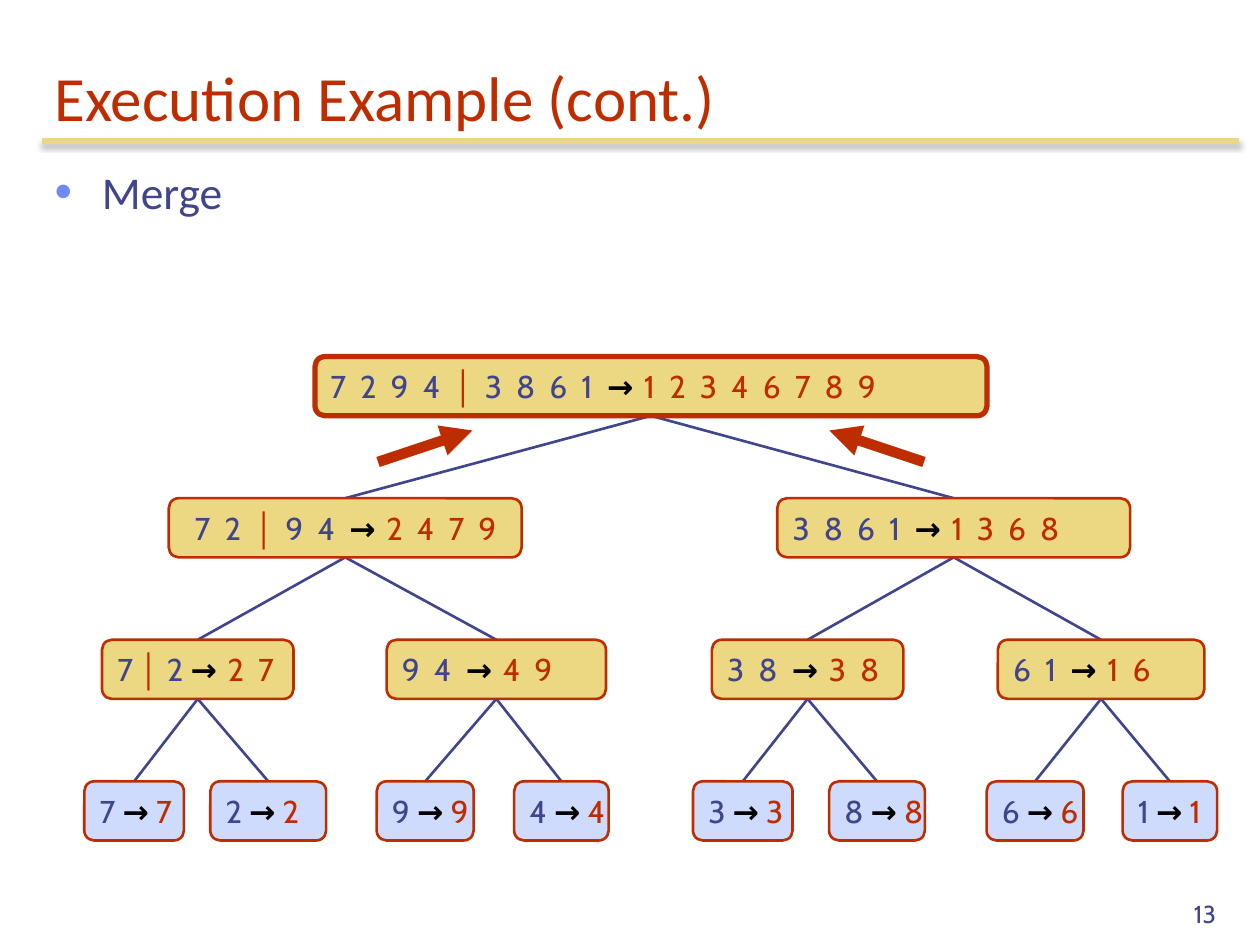
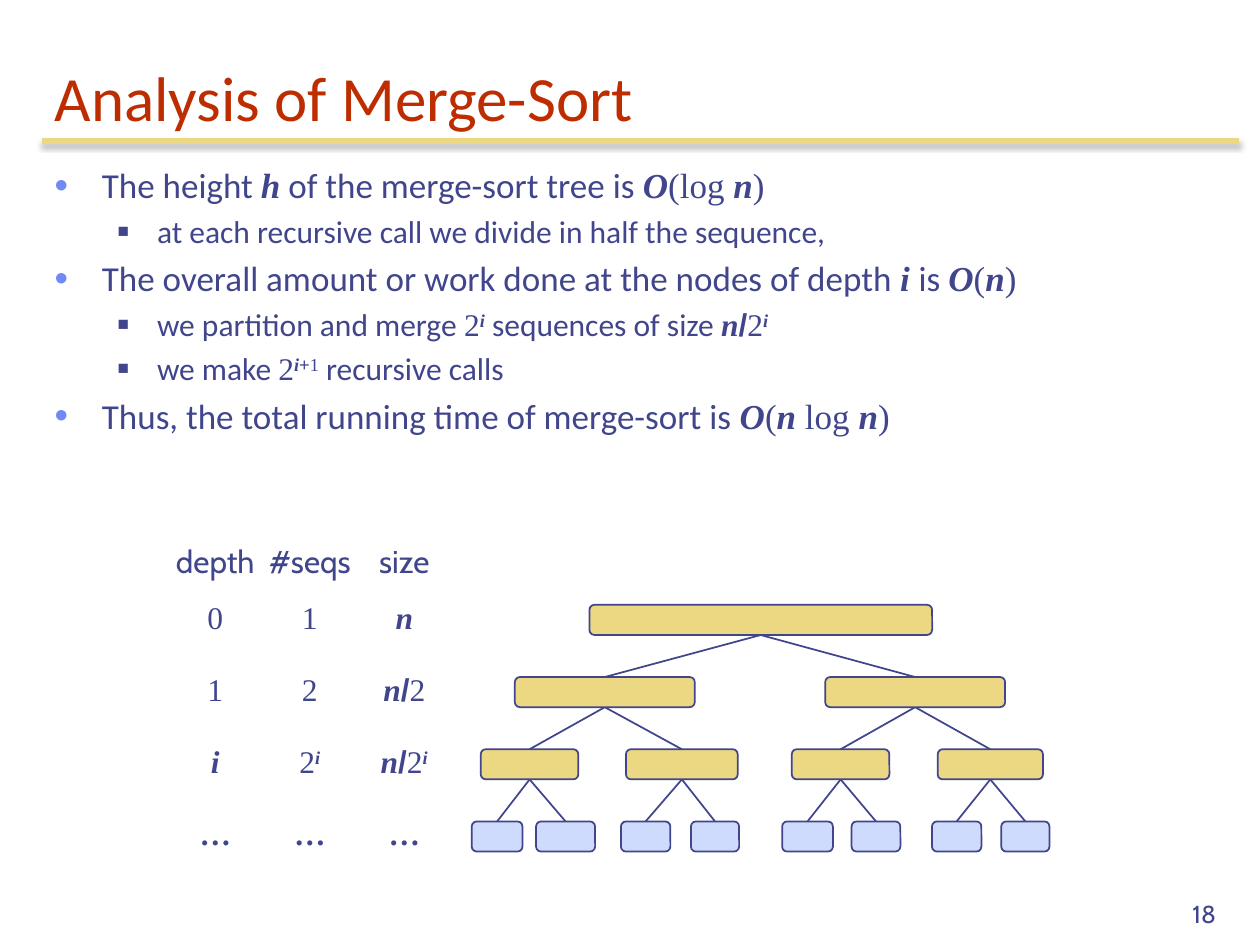
"""Builds two slides on merge-sort: a worked merge tree and its running time."""
from lxml import etree
from pptx import Presentation
from pptx.dml.color import RGBColor
from pptx.enum.shapes import MSO_CONNECTOR, MSO_SHAPE
from pptx.enum.text import MSO_ANCHOR, MSO_AUTO_SIZE, PP_ALIGN
from pptx.oxml.ns import qn
from pptx.util import Pt

STRAIGHT = MSO_CONNECTOR.STRAIGHT
ROUND = MSO_SHAPE.ROUNDED_RECTANGLE
MIDDLE, BOTTOM = MSO_ANCHOR.MIDDLE, MSO_ANCHOR.BOTTOM
FIXED = MSO_AUTO_SIZE.NONE
LEFT, CENTER, RIGHT = PP_ALIGN.LEFT, PP_ALIGN.CENTER, PP_ALIGN.RIGHT

RED = RGBColor(0xBE, 0x2D, 0x00)
NAVY = RGBColor(0x40, 0x45, 0x8C)
GOLD = RGBColor(0xEC, 0xD8, 0x82)
PALE = RGBColor(0xCF, 0xDB, 0xFD)
BLUE = RGBColor(0x6F, 0x89, 0xF7)
BLACK = RGBColor(0, 0, 0)

HEAD, LABEL, MATH, SIGN = "Calibri", "Cabin", "Times New Roman", "Arial"

# key: font, bold, italic, raised
FACES = {
    "c": (HEAD, False, False, False),
    "k": (LABEL, False, False, False),
    "t": (MATH, False, False, False),
    "m": (MATH, True, True, False),
    "b": (MATH, True, False, False),
    "s": (SIGN, True, False, False),
    "i": (MATH, True, True, True),
    "p": (SIGN, False, False, True),
    "n": (MATH, False, False, True),
}

# level: bullet, colour, size in percent, left margin, hang
BULLETS = [("•", BLUE, 110, 27, 27), ("■", NAVY, 60, 58.5, 22.5)]

TREE = [
    [(180, 384, "7 2 9 4 │ 3 8 6 1 → 1 2 3 4 6 7 8 9")],
    [(96.5, 201.6, " 7 2 │ 9 4 → 2 4 7 9"), (444.2, 201.6, "3 8 6 1 → 1 3 6 8")],
    [(58.3, 109.4, "7 │ 2 → 2 7"), (221, 125.3, "9 4 → 4 9"),
     (406.8, 109.4, "3 8 → 3 8"), (570.2, 118, "6 1 → 1 6")],
    [(48.2, 56.9, "7 → 7"), (120.2, 66.2, "2 → 2"), (215.3, 55.4, "9 → 9"),
     (293.8, 54, "4 → 4"), (396, 56.9, "3 → 3"), (473.8, 54.7, "8 → 8"),
     (563.8, 55.4, "6 → 6"), (641.5, 54, "1 → 1")],
]
TOP, STEP, TALL = 203.8, 80.9, 33.8

POINTS = [
    (0, 20, "c:The height |m:h|c: of the merge-sort tree is |m:O|t:(log |m:n|t:)"),
    (1, 18, "c:at each recursive call we divide in half the sequence,"),
    (0, 20, "c:The overall amount or work done at the nodes of depth |m:i |c:is "
            "|m:O|t:(|m:n|t:)"),
    (1, 18, "c:we partition and merge |t:2|i:i|c: sequences of size |m:n|s:/|t:2|i:i"),
    (1, 18, "c:we make |t:2|i:i|p:+|n:1|c: recursive calls"),
    (0, 20, "c:Thus, the total running time of merge-sort is "
            "|m:O|t:(|m:n|t: log |m:n|t:)"),
]

COSTS = [
    ["k:depth", "k:#seqs", "k:size"],
    ["t:0", "t:1", "m:n"],
    ["t:1", "t:2", "m:n|s:/|t:2"],
    ["m:i", "t:2|i:i", "m:n|s:/|t:2|i:i"],
    ["b:…", "b:…", "b:…"],
]


class Deck:
    """Holds the deck's style and the slide being drawn."""

    def __init__(self):
        self.prs = Presentation()
        self.prs.slide_width, self.prs.slide_height = Pt(720), Pt(540)
        self.slide = None

    def place(self, item, left, top, width, height):
        """Moves an item to a box given in points."""
        item.left, item.top = Pt(left), Pt(top)
        item.width, item.height = Pt(width), Pt(height)

    def run(self, para, text, face, size, color=NAVY):
        """Adds one styled run to a paragraph."""
        name, bold, slant, raised = FACES[face]
        run = para.add_run()
        run.text = text
        font = run.font
        font.name, font.size, font.bold, font.italic = name, Pt(size), bold, slant
        font.color.rgb = color
        if raised:
            run._r.get_or_add_rPr().set("baseline", "30000")
        return run

    def rich(self, para, marked, size):
        """Fills a paragraph from face:text pieces."""
        for piece in marked.split("|"):
            face, _, text = piece.partition(":")
            self.run(para, text, face, size)
        para.space_before = Pt(size * 0.2)

    def page(self, title, number, points):
        """Starts a slide with title, rule, list and number."""
        self.slide = self.prs.slides.add_slide(self.prs.slide_layouts[1])
        head, body = self.slide.placeholders
        self.place(head, 24, 24, 684, 56)
        self.place(body, 24, 90, 684, 408)
        frame = head.text_frame
        frame.auto_size, frame.vertical_anchor = FIXED, BOTTOM
        self.run(frame.paragraphs[0], title, "c", 36, RED)
        frame.paragraphs[0].alignment = LEFT
        self.line((24, 80.6), (708, 80.6), GOLD, 3, shade=True)
        self.list(body.text_frame, points)
        box = self.slide.shapes.add_textbox(Pt(552), Pt(498), Pt(150), Pt(36))
        frame = box.text_frame
        frame.word_wrap, frame.vertical_anchor = True, BOTTOM
        self.run(frame.paragraphs[0], number, "k", 14)
        frame.paragraphs[0].alignment = RIGHT

    def list(self, frame, points):
        """Writes the bulleted list."""
        frame.auto_size = FIXED
        for nth, (level, size, marked) in enumerate(points):
            para = frame.add_paragraph() if nth else frame.paragraphs[0]
            para.level = level
            self.rich(para, marked, size)
            mark, color, scale, margin, hang = BULLETS[level]
            props = para._p.get_or_add_pPr()
            props.set("marL", str(Pt(margin)))
            props.set("indent", str(-Pt(hang)))
            tint = etree.SubElement(props, qn("a:buClr"))
            etree.SubElement(tint, qn("a:srgbClr"), val=str(color))
            etree.SubElement(props, qn("a:buSzPct"), val=str(scale * 1000))
            etree.SubElement(props, qn("a:buFont"), typeface=SIGN)
            etree.SubElement(props, qn("a:buChar"), char=mark)

    def line(self, start, end, color=NAVY, width=1.5, head=False, shade=False):
        """Draws a line, with an arrowhead at its start or a shadow if asked."""
        ends = [Pt(value) for value in (*start, *end)]
        line = self.slide.shapes.add_connector(STRAIGHT, *ends)
        line.line.color.rgb, line.line.width = color, Pt(width)
        if head:
            etree.SubElement(line.line._ln, qn("a:headEnd"), type="triangle")
        effect = etree.SubElement(line._element.spPr, qn("a:effectLst"))
        if shade:
            cast = etree.SubElement(effect, qn("a:outerShdw"), blurRad=str(Pt(3.1)),
                                    dist=str(Pt(1.8)), dir="5400000", rotWithShape="0")
            tint = etree.SubElement(cast, qn("a:srgbClr"), val=str(BLACK))
            etree.SubElement(tint, qn("a:alpha"), val="35000")

    def node(self, spot, fill, edge, width, text):
        """Draws one tree node."""
        node = self.slide.shapes.add_shape(ROUND, *[Pt(value) for value in spot])
        node.shadow.inherit = False
        node.fill.solid()
        node.fill.fore_color.rgb = fill
        node.line.color.rgb, node.line.width = edge, Pt(width)
        if text:
            self.sort(node.text_frame, text)

    def sort(self, frame, text):
        """Writes the input in navy and the sorted output in red."""
        frame.word_wrap, frame.auto_size = False, FIXED
        frame.vertical_anchor = MIDDLE
        para = frame.paragraphs[0]
        para.alignment = LEFT
        given, arrow, result = text.partition("→")
        first, bar, second = given.partition("│")
        parts = [(first, "k", NAVY), (bar, "s", RED), (second, "k", NAVY),
                 (arrow, "k", BLACK), (result, "k", RED)]
        for part, face, color in parts:
            if not part:
                continue
            run = self.run(para, part, face, 18, color)
            if part == arrow:
                run.font.bold = True
            if len(part.strip()) > 1:
                run._r.get_or_add_rPr().set("spc", "200")

    def tree(self, scale, left, top, edge, width, root, label):
        """Draws the merge tree, scaled and moved, with links under nodes."""
        rows = [[(left + x * scale, top + (TOP + depth * STEP) * scale,
                  wide * scale, TALL * scale) for x, wide, _ in row]
                for depth, row in enumerate(TREE)]
        for above, below in zip(rows, rows[1:]):
            for nth, (x, y, wide, _) in enumerate(below):
                px, py, pwide, ptall = above[nth // 2]
                self.line((x + wide / 2, y), (px + pwide / 2, py + ptall), NAVY, width)
        for depth, row in enumerate(rows):
            fill = PALE if depth == len(rows) - 1 else GOLD
            for spot, (_, _, text) in zip(row, TREE[depth]):
                self.node(spot, fill, edge, width if depth else root,
                          text if label else "")

    def table(self, cells, left, top, wide, heights):
        """Draws a plain centred table."""
        frame = self.slide.shapes.add_table(len(cells), len(cells[0]), Pt(left), Pt(top),
                                            Pt(wide * len(cells[0])), Pt(sum(heights)))
        grid = frame.table
        grid.first_row = grid.horz_banding = False
        for col in grid.columns:
            col.width = Pt(wide)
        for nth, row in enumerate(cells):
            grid.rows[nth].height = Pt(heights[nth])
            for col, marked in enumerate(row):
                cell = grid.cell(nth, col)
                cell.fill.background()
                cell.margin_left = cell.margin_right = 0
                cell.margin_top = cell.margin_bottom = 0
                if nth:
                    cell.vertical_anchor = MIDDLE
                para = cell.text_frame.paragraphs[0]
                para.alignment = CENTER
                self.rich(para, marked, 18)


def main():
    """Builds and saves the deck."""
    deck = Deck()
    deck.page("Execution Example (cont.)", "13", [(0, 26, "c:Merge")])
    deck.tree(1, 0, 0, RED, 1.5, 3, True)
    for tip, tail in ((270, 216), (474, 528)):
        deck.line((tip, 246), (tail, 264), RED, 6, head=True)
    deck.page("Analysis of Merge-Sort", "18", POINTS)
    deck.tree(0.51, 245, 241.7, NAVY, 1, 1, False)
    deck.table(COSTS, 96, 310.5, 54, [22.5] + [41.2] * 4)
    deck.prs.save("out.pptx")


if __name__ == "__main__":
    main()
